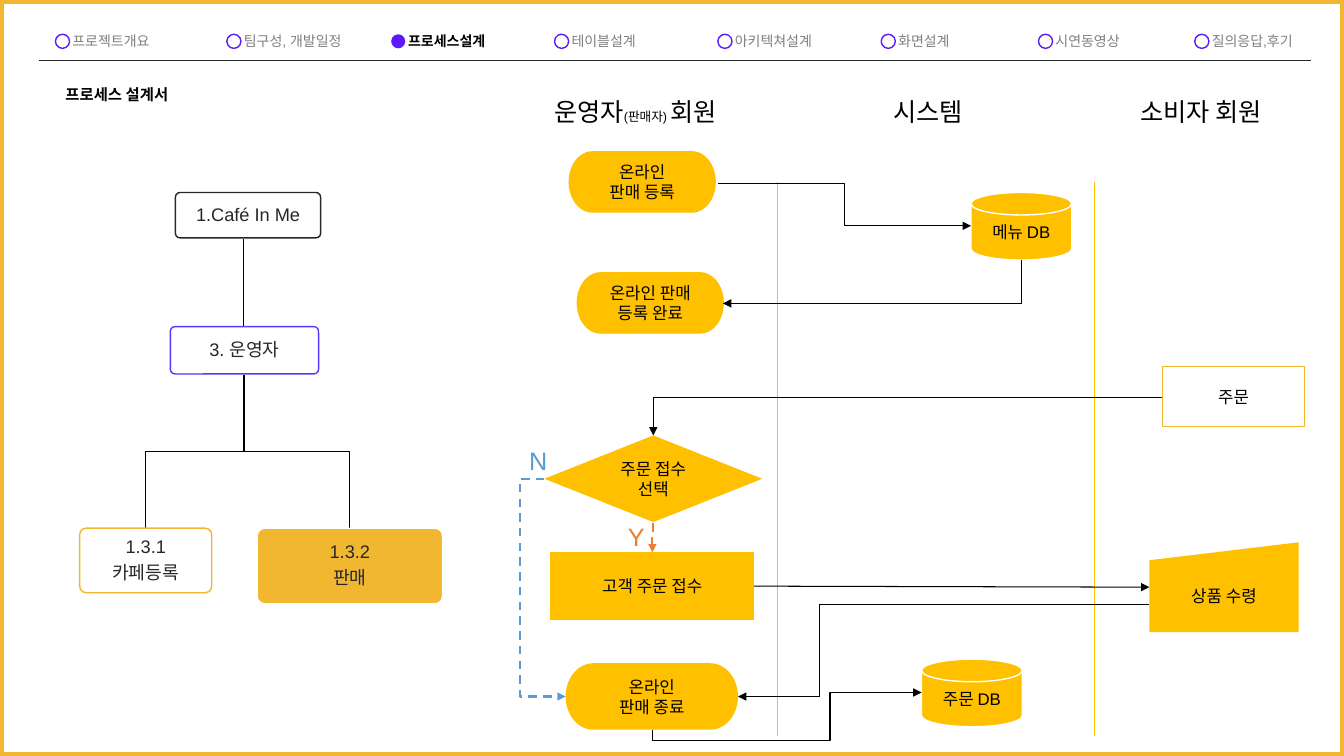
from pptx import Presentation
from pptx import util as u
from pptx.dml.color import RGBColor
from pptx.enum import dml, shapes, text
from pptx.oxml.ns import qn
from lxml import etree

BLACK = RGBColor(0x00, 0x00, 0x00)
WHITE = RGBColor(0xFF, 0xFF, 0xFF)
INK = RGBColor(0x25, 0x28, 0x2A)
GRAY = RGBColor(0x7F, 0x7F, 0x7F)
VIOLET = RGBColor(0x5C, 0x19, 0xFA)
INDIGO = RGBColor(0x5C, 0x34, 0xFA)
GOLD = RGBColor(0xF1, 0xB7, 0x31)
YELLOW = RGBColor(0xFF, 0xC0, 0x00)
BLUE = RGBColor(0x5B, 0x9B, 0xD5)
ORANGE = RGBColor(0xED, 0x7D, 0x31)
FONT = "Arial"
KIND = shapes.MSO_SHAPE

# Navigation: label, marker left, label width
CURRENT = "프로세스설계"
NAVIGATION = [
    ("프로젝트개요", 0.55, 1.63), ("팀구성, 개발일정", 2.25, 1.31),
    (CURRENT, 3.88, 1.27), ("테이블설계", 5.5, 0.99),
    ("아키텍쳐설계", 7.12, 1.2), ("화면설계", 8.74, 0.99),
    ("시연동영상", 10.3, 0.99), ("질의응답,후기", 11.85, 1.15),
]

# Free text: paragraphs of (run, size), box, colour, bold
LABELS = [
    ([[("프로세스 설계서", 11)]], (0.55, 0.79, 1.41, 0.29), BLACK, True),
    ([[("운영자", 18), ("(판매자) ", 9), ("회원", 18)]], (5.4, 0.91, 2.7, 0.4), BLACK, False),
    ([[("시스템", 18)]], (8.76, 0.91, 1.67, 0.4), BLACK, False),
    ([[("소비자 회원", 18)]], (11.21, 0.91, 1.72, 0.4), BLACK, False),
    ([[("Y", 18)]], (6.13, 5.12, 0.32, 0.4), ORANGE, False),
    ([[("N", 18)]], (5.15, 4.37, 0.36, 0.4), BLUE, False),
]
LANE_BORDERS = [7.71, 10.86]

# Flow steps: name -> preset, box, lines, fill, line colour
STEPS = {
    "order db": (KIND.FLOWCHART_MAGNETIC_DISK, (9.14, 6.54, 1, 0.67), ["주문 DB"], YELLOW, WHITE),
    "menu db": (KIND.FLOWCHART_MAGNETIC_DISK, (9.63, 1.91, 1, 0.67), ["메뉴 DB"], YELLOW, WHITE),
    "order": (KIND.RECTANGLE, (11.53, 3.64, 1.41, 0.59), ["주문"], None, GOLD),
    "pickup": (KIND.FLOWCHART_MANUAL_INPUT, (11.4, 5.38, 1.48, 0.89), ["상품 수령"], YELLOW, None),
    "choice": (KIND.FLOWCHART_DECISION, (5.4, 4.32, 2.16, 0.86), ["주문 접수", "선택"], YELLOW, None),
    "accept": (KIND.FLOWCHART_PREDEFINED_PROCESS, (5.46, 5.48, 2.02, 0.67), ["고객 주문 접수"], YELLOW, None),
    "close": (KIND.FLOWCHART_TERMINATOR, (5.61, 6.58, 1.71, 0.66), ["온라인", "판매 종료"], YELLOW, None),
    "register": (KIND.FLOWCHART_TERMINATOR, (5.64, 1.5, 1.46, 0.61), ["온라인", "판매 등록"], YELLOW, None),
    "registered": (KIND.FLOWCHART_TERMINATOR, (5.72, 2.7, 1.46, 0.61), ["온라인 판매", "등록 완료"], YELLOW, None),
}

# Bent arrows: start, end, preset, rotation, adjustments, colour
BENT_ARROWS = [
    ((7.12, 1.82), (9.63, 2.24), "bentConnector3", 0, [50000], BLACK),
    ((10.13, 2.58), (7.17, 3.01), "bentConnector2", 90, [], BLACK),
    ((11.53, 3.94), (6.48, 4.32), "bentConnector2", 0, [], BLACK),
    ((5.4, 4.75), (5.61, 6.91), "bentConnector3", 0, [-115100], BLUE),
    ((6.48, 5.19), (6.47, 5.48), "bentConnector3", 90, [50000], ORANGE),
    ((11.4, 6), (7.32, 6.91), "bentConnector3", 0, [80100], BLACK),
    ((6.47, 7.24), (9.14, 6.87), "bentConnector4", 270, [-29300, 66000], BLACK),
]

# Menu tree: box, lines, fill, line colour
TREE_NODES = [
    ((1.74, 1.91, 1.44, 0.45), ["1.Café In Me"], None, INK),
    ((1.69, 3.24, 1.47, 0.47), ["3. 운영자"], None, INDIGO),
    ((0.79, 5.24, 1.31, 0.64), ["1.3.1", "카페등록"], None, GOLD),
    ((2.55, 5.24, 1.84, 0.75), ["1.3.2", "판매"], GOLD, WHITE),
]
TRUNK_X, TRUNK_TOP, FORK_Y, LEAF_TOP = 2.42, 3.72, 4.48, 5.24
LEAF_XS = [1.44, 3.47]

presentation = Presentation()
presentation.slide_width, presentation.slide_height = u.Inches(13.33), u.Inches(7.5)
slide = presentation.slides.add_slide(presentation.slide_layouts[6])


def write(shape, paragraphs, color=BLACK, bold=False, align=None, inset=0.1,
          anchor=text.MSO_ANCHOR.TOP, spacing=None, gap=0):
    """Fill a shape with paragraphs, each a list of (run, size)."""
    frame = shape.text_frame
    frame.word_wrap = True
    frame.vertical_anchor = anchor
    frame.margin_left = frame.margin_right = u.Inches(inset)
    for index, runs in enumerate(paragraphs):
        paragraph = frame.paragraphs[0] if index == 0 else frame.add_paragraph()
        paragraph.alignment = align
        if spacing:
            paragraph.line_spacing = spacing
        if index and gap:
            paragraph.space_before = u.Pt(gap)
        for words, size in runs:
            run = paragraph.add_run()
            run.text = words
            run.font.name, run.font.size, run.font.bold = FONT, u.Pt(size), bold
            run.font.color.rgb = color


def add_label(paragraphs, box, color, bold):
    label = slide.shapes.add_textbox(*map(u.Inches, box))
    write(label, paragraphs, color=color, bold=bold)
    label.text_frame.auto_size = text.MSO_AUTO_SIZE.SHAPE_TO_FIT_TEXT


def paint(shape, fill, line, width):
    shape.shadow.inherit = False
    if fill is None:
        shape.fill.background()
    else:
        shape.fill.solid()
        shape.fill.fore_color.rgb = fill
    if line is None:
        shape.line.fill.background()
    else:
        shape.line.color.rgb = line
        shape.line.width = u.Pt(width)


def add_box(kind, box, fill=None, line=None, width=1):
    shape = slide.shapes.add_shape(kind, *map(u.Inches, box))
    paint(shape, fill, line, width)
    return shape


def add_line(start, end, color, width=0.75, kind=shapes.MSO_CONNECTOR.STRAIGHT, arrow=False):
    connector = slide.shapes.add_connector(kind, *map(u.Inches, (*start, *end)))
    connector.line.color.rgb = color
    connector.line.width = u.Pt(width)
    properties = connector._element.spPr
    etree.SubElement(properties, qn("a:effectLst"))
    if arrow:
        etree.SubElement(properties.find(qn("a:ln")), qn("a:tailEnd"), type="triangle")
    return connector


def add_bent_arrow(start, end, preset, rotation, adjustments, color):
    # Turn the span back by the rotation, about its middle
    across, down = end[0] - start[0], end[1] - start[1]
    across, down = {0: (across, down), 90: (down, -across), 270: (-down, across)}[rotation]
    middle_x, middle_y = (start[0] + end[0]) / 2, (start[1] + end[1]) / 2
    dashed = color != BLACK
    connector = add_line((middle_x - across / 2, middle_y - down / 2),
                         (middle_x + across / 2, middle_y + down / 2), color,
                         1.5 if dashed else 0.75, shapes.MSO_CONNECTOR.ELBOW, True)
    if dashed:
        connector.line.dash_style = dml.MSO_LINE.DASH
    properties = connector._element.spPr
    if rotation:
        properties.find(qn("a:xfrm")).set("rot", str(rotation * 60000))
    geometry = properties.find(qn("a:prstGeom"))
    geometry.set("prst", preset)
    guides = geometry.find(qn("a:avLst"))
    for number, value in enumerate(adjustments, 1):
        etree.SubElement(guides, qn("a:gd"), name=f"adj{number}", fmla=f"val {value}")


# Navigation bar
add_line((0.39, 0.6), (13, 0.6), INK, 1)
for name, left, width in NAVIGATION:
    active = name == CURRENT
    add_box(KIND.OVAL, (left, 0.34, 0.14, 0.14), VIOLET if active else None,
            None if active else VIOLET)
    add_label([[(name, 10)]], (left + 0.07, 0.27, width, 0.27),
              BLACK if active else GRAY, active)

# Frame and lanes
add_box(KIND.RECTANGLE, (0, 0, 13.33, 7.5), line=GOLD, width=6)
for x in LANE_BORDERS:
    add_line((x, 1.81), (x, 7.3), YELLOW)
for label in LABELS:
    add_label(*label)

# Flow chart
flow = {}
for name, (kind, box, lines, fill, line) in STEPS.items():
    flow[name] = add_box(kind, box, fill, line, 1 if fill else 0.75)
    write(flow[name], [[(words, 12)] for words in lines],
          align=text.PP_ALIGN.CENTER, anchor=text.MSO_ANCHOR.MIDDLE)
for arrow in BENT_ARROWS:
    add_bent_arrow(*arrow)
delivery = add_line((7.48, 5.82), (11.4, 5.82), BLACK, arrow=True)
delivery.begin_connect(flow["accept"], 3)
delivery.end_connect(flow["pickup"], 1)

# Menu tree
add_line((TRUNK_X, 2.37), (TRUNK_X, 3.24), BLACK)
for x in LEAF_XS:
    points = [(TRUNK_X, TRUNK_TOP), (TRUNK_X, FORK_Y), (x, FORK_Y), (x, LEAF_TOP)]
    corners = [tuple(map(u.Inches, point)) for point in points]
    builder = slide.shapes.build_freeform(*corners[0])
    builder.add_line_segments(corners[1:], close=False)
    paint(builder.convert_to_shape(), None, BLACK, 0.75)
for box, lines, fill, line in TREE_NODES:
    node = add_box(KIND.ROUNDED_RECTANGLE, box, fill, line)
    node.adjustments[0] = 0.1
    write(node, [[(words, 13)] for words in lines], color=INK, inset=0.05, spacing=0.9,
          gap=4.5, align=text.PP_ALIGN.CENTER, anchor=text.MSO_ANCHOR.MIDDLE)

presentation.save("out.pptx")
